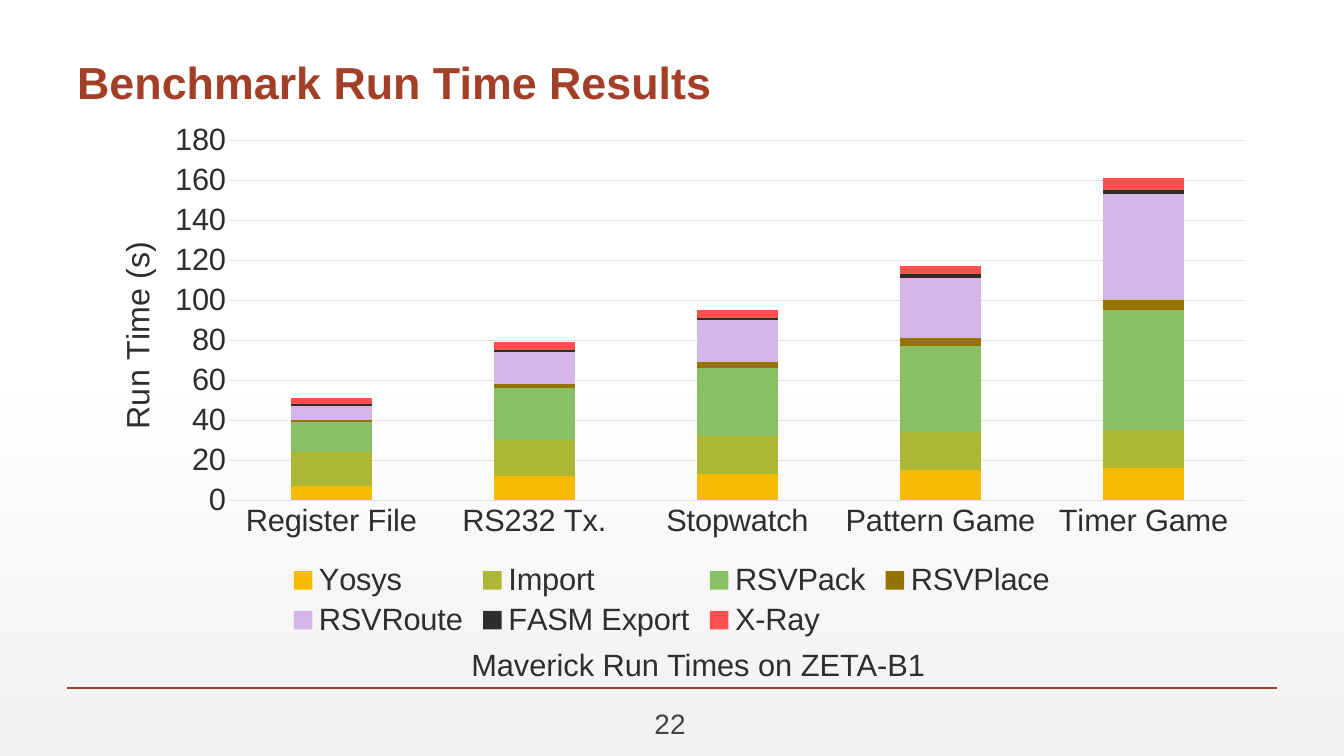
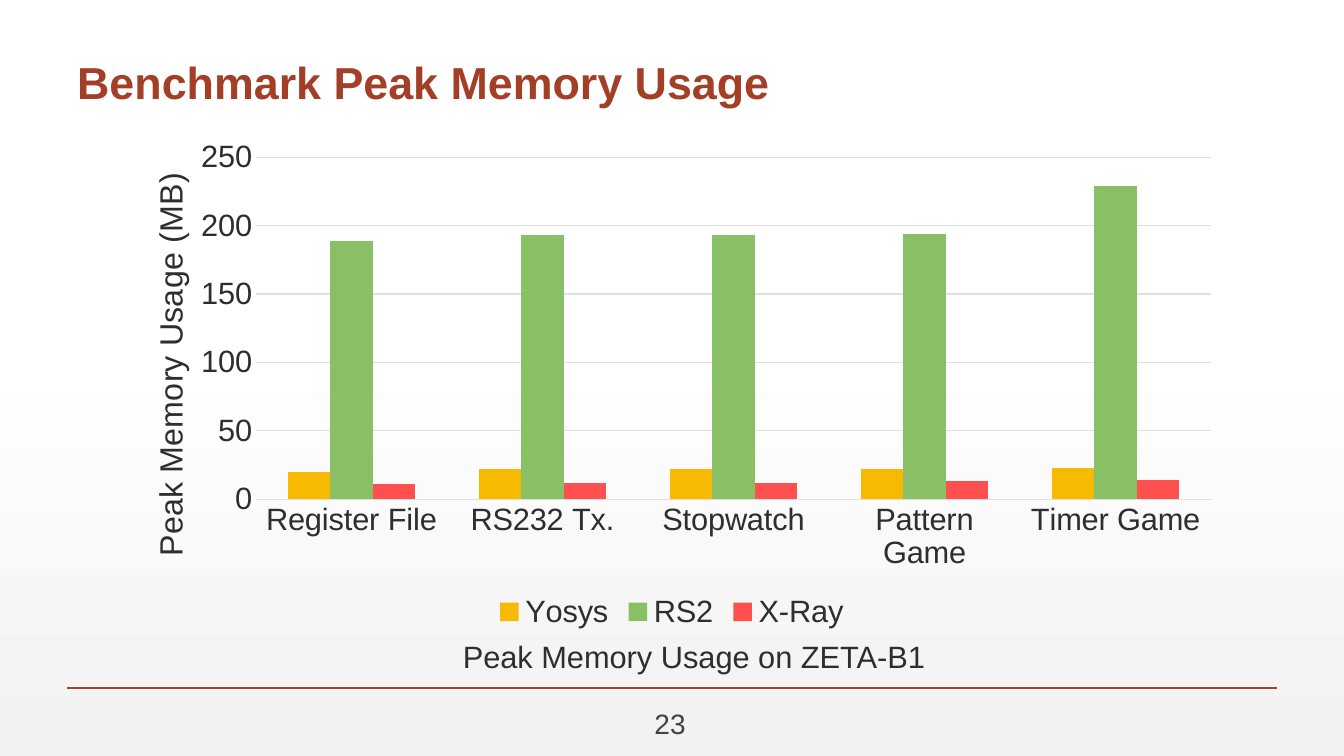
"""Build two benchmark chart slides."""
from lxml import etree
from pptx import Presentation
from pptx.chart.data import CategoryChartData
from pptx.dml.color import RGBColor
from pptx.enum.chart import XL_CHART_TYPE, XL_LEGEND_POSITION, XL_TICK_MARK
from pptx.enum.shapes import MSO_CONNECTOR
from pptx.enum.text import MSO_ANCHOR, MSO_AUTO_SIZE, PP_ALIGN
from pptx.oxml.ns import qn
from pptx.util import Cm, Pt

STACKED = XL_CHART_TYPE.COLUMN_STACKED
GROUPED = XL_CHART_TYPE.COLUMN_CLUSTERED
BOTTOM = XL_LEGEND_POSITION.BOTTOM
NO_TICK = XL_TICK_MARK.NONE
STRAIGHT = MSO_CONNECTOR.STRAIGHT
LOW, MIDDLE, TOP = MSO_ANCHOR.BOTTOM, MSO_ANCHOR.MIDDLE, MSO_ANCHOR.TOP
NO_FIT = MSO_AUTO_SIZE.NONE
LEFT, CENTER, RIGHT = PP_ALIGN.LEFT, PP_ALIGN.CENTER, PP_ALIGN.RIGHT

FONT = "Arial"
WHITE = RGBColor(0xFF, 0xFF, 0xFF)
PALE = RGBColor(0xF2, 0xF2, 0xF2)
RUST = RGBColor(0xA4, 0x3F, 0x27)
INK = RGBColor(0x2D, 0x2E, 0x2D)
GRAY = RGBColor(0x42, 0x43, 0x42)
GRID = RGBColor(0xDF, 0xE0, 0xDF)
GOLD = RGBColor(0xF6, 0xBB, 0x00)
OLIVE = RGBColor(0xAE, 0xB7, 0x33)
GREEN = RGBColor(0x89, 0xBF, 0x65)
BROWN = RGBColor(0x96, 0x72, 0x00)
LILAC = RGBColor(0xD3, 0xB5, 0xE9)
RED = RGBColor(0xFF, 0x4F, 0x4F)

CATS = ["Register File", "RS232 Tx.", "Stopwatch", "Pattern Game", "Timer Game"]
TIMES = [
    ("Yosys", GOLD, [7, 12, 13, 15, 16]),
    ("Import", OLIVE, [17, 18, 19, 19, 19]),
    ("RSVPack", GREEN, [15, 26, 34, 43, 60]),
    ("RSVPlace", BROWN, [1, 2, 3, 4, 5]),
    ("RSVRoute", LILAC, [7, 16, 21, 30, 53]),
    ("FASM Export", INK, [1, 1, 1, 2, 2]),
    ("X-Ray", RED, [3, 4, 4, 4, 6]),
]
MEMORY = [
    ("Yosys", GOLD, [20, 22, 22, 22, 23]),
    ("RS2", GREEN, [189, 193, 193, 194, 229]),
    ("X-Ray", RED, [11, 12, 12, 13, 14]),
]


def style(font, size, color, bold=False):
    """Set the face, size and colour of a font."""
    font.name = FONT
    font.size = Pt(size)
    font.color.rgb = color
    font.bold = bold


def place(shape, box):
    """Move a shape to a box given in centimetres."""
    shape.left, shape.top, shape.width, shape.height = map(Cm, box)


def write(shape, text, size, color, align, anchor, bold=False):
    """Fill a shape with one styled paragraph."""
    frame = shape.text_frame
    frame.word_wrap = True
    frame.auto_size = NO_FIT
    frame.vertical_anchor = anchor
    frame.text = text
    para = frame.paragraphs[0]
    para.alignment = align
    style(para.runs[0].font, size, color, bold)
    return para


def add_label(slide, box, text, size, color, align, anchor):
    """Add a text box."""
    label = slide.shapes.add_textbox(*map(Cm, box))
    write(label, text, size, color, align, anchor)


def add_rule(slide):
    """Draw the footer rule."""
    rule = slide.shapes.add_connector(
        STRAIGHT, Cm(1.69), Cm(17.34), Cm(32.18), Cm(17.34))
    rule.line.color.rgb = RUST
    rule.line.width = Pt(1)
    etree.SubElement(rule.element.spPr, qn("a:effectLst"))


def add_page(deck, title, number):
    """Add a slide with its title, rule and number."""
    slide = deck.slides.add_slide(deck.slide_layouts[5])
    head = slide.shapes.title
    place(head, (1.69, 0.71, 30.48, 2.18))
    para = write(head, title, 32, RUST, LEFT, LOW, True)
    para.line_spacing = 0.9
    add_rule(slide)
    add_label(slide, (16.13, 17.91, 1.4, 0.61), number, 20, GRAY, RIGHT, MIDDLE)
    return slide


def arrange(parent, index, modes, sizes):
    """Give a chart part a fixed layout in chart fractions."""
    layout = parent.find(qn("c:layout"))
    if layout is None:
        layout = etree.Element(qn("c:layout"))
        parent.insert(index, layout)
    manual = etree.SubElement(layout, qn("c:manualLayout"))
    for tag, value in modes + list(zip("xywh", sizes)):
        etree.SubElement(manual, qn("c:" + tag)).set("val", str(value))


def style_axes(chart, name, top, step):
    """Format both axes and name the value axis."""
    cat, val = chart.category_axis, chart.value_axis
    for axis in (cat, val):
        axis.major_tick_mark = axis.minor_tick_mark = NO_TICK
        style(axis.tick_labels.font, 22, INK)
    val.minimum_scale, val.maximum_scale = 0, top
    val.major_unit = step
    val.format.line.fill.background()
    for line in (cat.format.line, val.major_gridlines.format.line):
        line.color.rgb = GRID
        line.width = Pt(0.75)
    frame = val.axis_title.text_frame
    frame.text = name
    style(frame.paragraphs[0].runs[0].font, 23, INK)
    body = next(val.axis_title.element.iter(qn("a:bodyPr")))
    body.set("rot", "-5400000")
    body.set("vert", "horz")


def add_bars(slide, kind, box, series, scale, plot, spot):
    """Add a column chart with a legend below."""
    data = CategoryChartData()
    data.categories = CATS
    for name, _, values in series:
        data.add_series(name, values)
    chart = slide.shapes.add_chart(kind, *map(Cm, box), data).chart
    style(chart.font, 10, INK)
    chart.has_title = False
    chart.has_legend = True
    chart.legend.position = BOTTOM
    chart.legend.include_in_layout = False
    style(chart.legend.font, 22, INK)
    bars = chart.plots[0]
    bars.vary_by_categories = False
    bars.gap_width = 150
    bars.overlap = 100 if kind == STACKED else 0
    for bar, (_, color, _) in zip(bars.series, series):
        bar.format.fill.solid()
        bar.format.fill.fore_color.rgb = color
        bar.invert_if_negative = False
    style_axes(chart, *scale)
    edges = [("xMode", "edge"), ("yMode", "edge")]
    area = next(chart.element.iter(qn("c:plotArea")))
    arrange(area, 0, [("layoutTarget", "inner")] + edges, plot)
    arrange(chart.value_axis.axis_title.element, 1, edges, spot)


def paint(master):
    """Give the master its fading background."""
    fill = master.background.fill
    fill.gradient()
    fill.gradient_angle = 270
    for stop, color, pos in zip(fill.gradient_stops, (WHITE, PALE), (0.44, 1)):
        stop.color.rgb = color
        stop.position = pos


def main():
    """Build and save the deck."""
    deck = Presentation()
    deck.slide_width, deck.slide_height = Cm(33.87), Cm(19.05)
    paint(deck.slide_master)

    slide = add_page(deck, "Benchmark Run Time Results", "22")
    add_bars(slide, STACKED, (1.88, 2.87, 30.1, 13.34), TIMES,
             ("Run Time (s)", 180, 20), (0.13, 0.05, 0.85, 0.68), (0.03, 0.23))
    add_label(slide, (3.61, 16.15, 27.97, 1.19), "Maverick Run Times on ZETA-B1",
              22, INK, CENTER, TOP)

    slide = add_page(deck, "Benchmark Peak Memory Usage", "23")
    add_bars(slide, GROUPED, (2.77, 3.33, 28.32, 12.67), MEMORY,
             ("Peak Memory Usage (MB)", 250, 50), (0.13, 0.05, 0.85, 0.68),
             (0.03, 0.07))
    add_label(slide, (4.37, 15.95, 26.24, 1.19), "Peak Memory Usage on ZETA-B1",
              22, INK, CENTER, TOP)
    deck.save("out.pptx")


if __name__ == "__main__":
    main()
